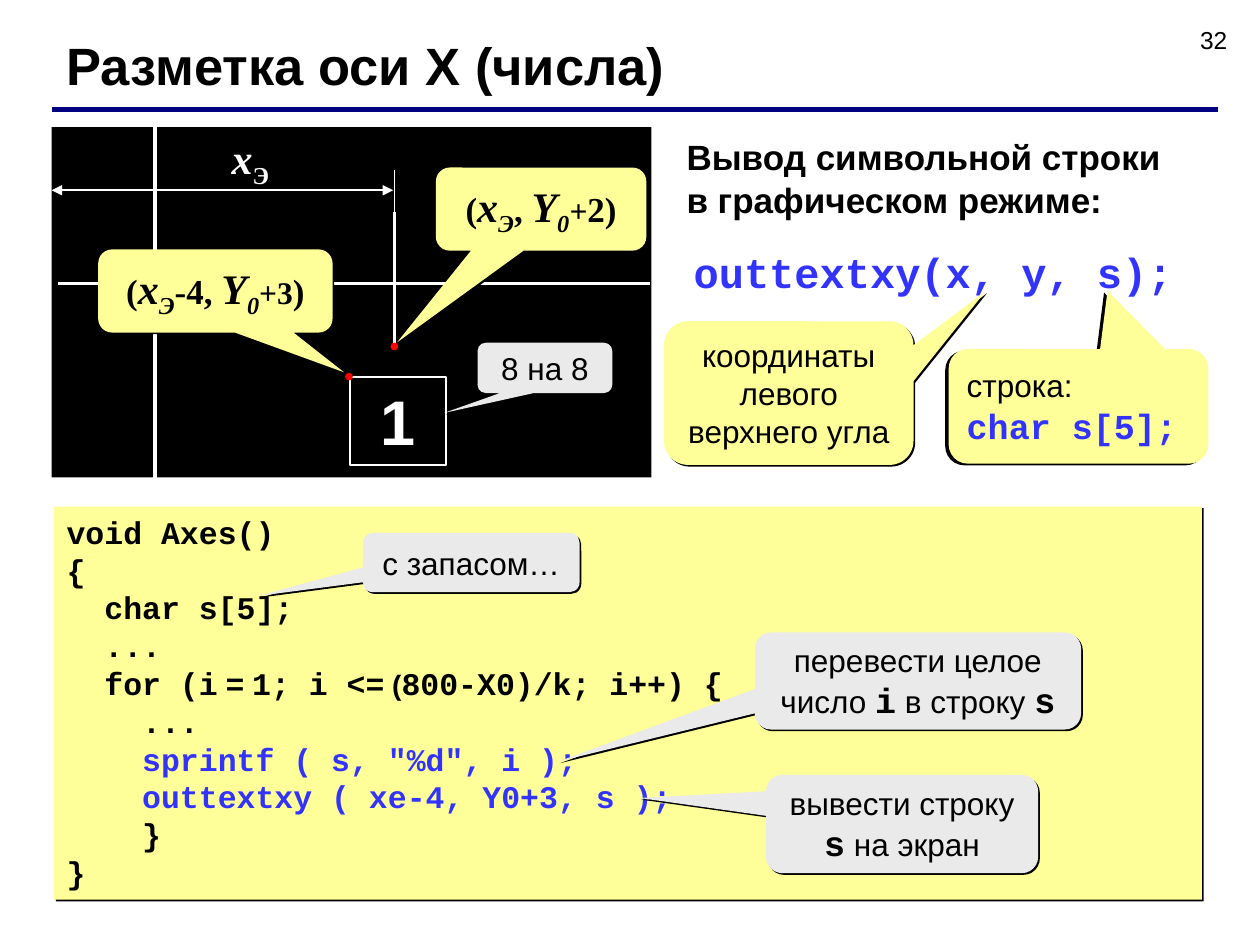
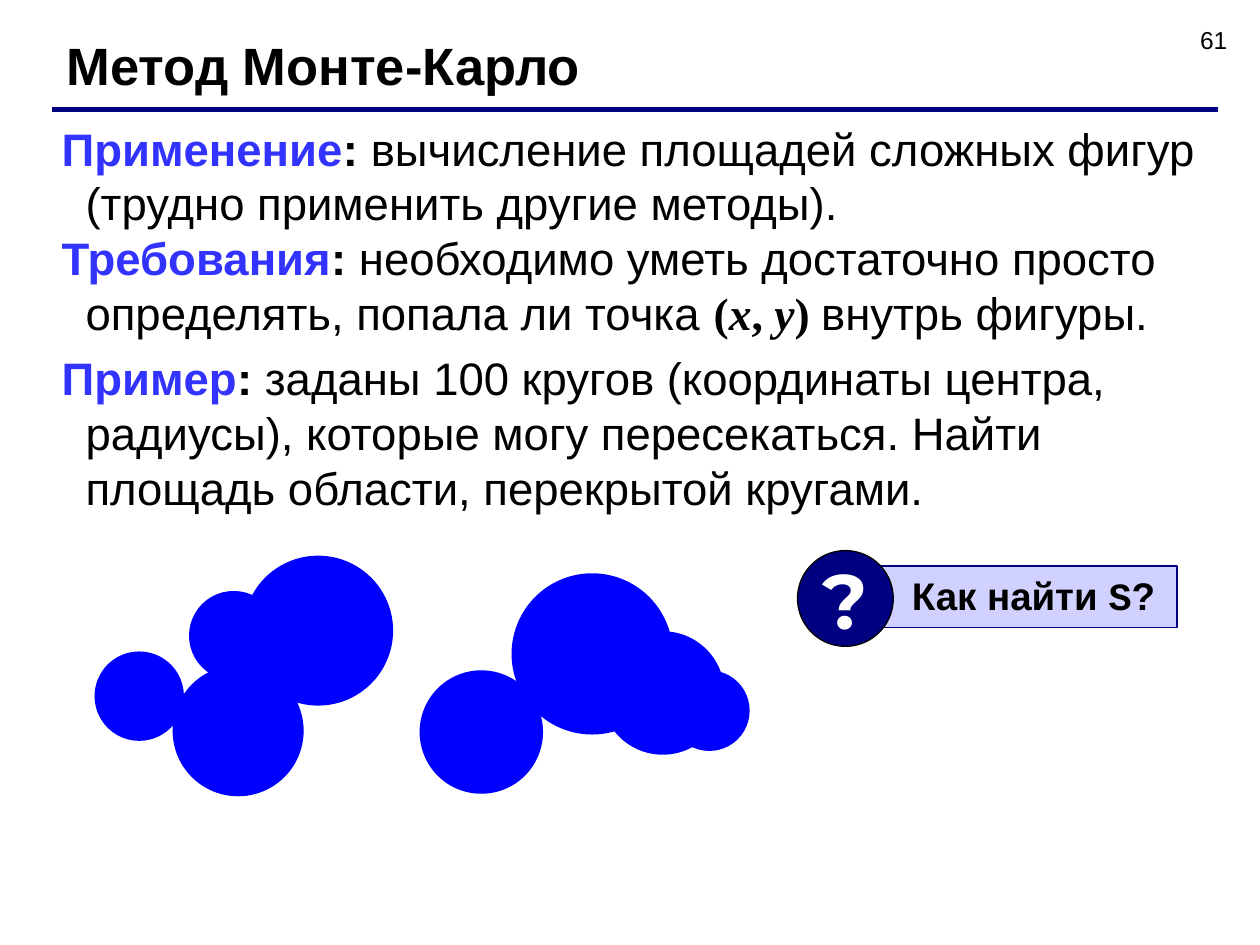
from dataclasses import dataclass
from typing import NamedTuple, Optional

from lxml import etree
from pptx import Presentation
from pptx import util as u
from pptx.dml.color import RGBColor
from pptx.enum import shapes, text
from pptx.oxml import ns

COLORS = {
    "black": "000000", "white": "FFFFFF", "navy": "000080", "code": "3333FF",
    "note": "FFFF99", "hint": "EAEAEA", "point": "FF0000", "disc": "0000FF",
    "question": "D1D1FF",
}
SANS, MONO, SERIF = "Arial", "Courier New", "Times New Roman"
LEFT, CENTER, RIGHT = text.PP_ALIGN.LEFT, text.PP_ALIGN.CENTER, text.PP_ALIGN.RIGHT
TOP, MIDDLE = text.MSO_ANCHOR.TOP, text.MSO_ANCHOR.MIDDLE
RECT, OVAL = shapes.MSO_SHAPE.RECTANGLE, shapes.MSO_SHAPE.OVAL


class Box(NamedTuple):
    left: float
    top: float
    width: float
    height: float


class Line(NamedTuple):
    x1: float
    y1: float
    x2: float
    y2: float
    color: str = "white"
    width: float = 1
    arrows: bool = False


@dataclass(frozen=True)
class Run:
    text: str
    size: float = 18
    font: str = SANS
    color: str = "black"
    bold: bool = False
    italic: bool = False
    subscript: bool = False


@dataclass(frozen=True)
class Para:
    runs: list[Run]
    align: text.PP_ALIGN = LEFT
    before: float = 0
    margin: float = 0
    indent: float = 0


class Shadow(NamedTuple):
    distance: float = 1.4
    angle: int = 45


@dataclass(frozen=True)
class Callout:
    box: Box
    tip: tuple[float, float]
    paras: list[Para]
    fill: str = "hint"
    shadow: Shadow = Shadow()


def rgb(name: str) -> RGBColor:
    return RGBColor.from_string(COLORS[name])


def code(words: str, size: float = 18, color: str = "black") -> Run:
    return Run(words, size, MONO, color, bold=True)


def math(words: str, size: float = 20, **style) -> Run:
    return Run(words, size, SERIF, bold=True, **style)


def centered(*runs: Run) -> list[Para]:
    return [Para(list(runs), CENTER)]


def write(shape, paras: list[Para], anchor=TOP, wrap: bool = True) -> None:
    frame = shape.text_frame
    frame.word_wrap, frame.vertical_anchor = wrap, anchor
    for index, para in enumerate(paras):
        target = frame.add_paragraph() if index else frame.paragraphs[0]
        target.alignment = para.align
        if para.before:
            target.space_before = u.Pt(para.before)
        if para.margin:
            properties = target._p.get_or_add_pPr()
            properties.set("marL", str(u.Inches(para.margin)))
            properties.set("indent", str(u.Inches(para.indent)))
        for part in para.runs:
            run = target.add_run()
            run.text = part.text
            font = run.font
            font.size, font.name = u.Pt(part.size), part.font
            font.bold, font.italic = part.bold, part.italic
            font.color.rgb = rgb(part.color)
            if part.subscript:
                run._r.get_or_add_rPr().set("baseline", "-25000")


def add_text(slide, box: Box, paras: list[Para]) -> None:
    write(slide.shapes.add_textbox(*map(u.Inches, box)), paras)


def add_label(slide, box: Box, words: str, align=LEFT, **style) -> None:
    add_text(slide, box, [Para([Run(words, **style)], align)])


def cast_shadow(shape, shadow: Shadow) -> None:
    effects = shape._element.spPr.find(ns.qn("a:effectLst"))
    outer = etree.SubElement(effects, ns.qn("a:outerShdw"), blurRad="0",
                             dist=str(u.Pt(shadow.distance)),
                             dir=str(shadow.angle * 60000),
                             algn="ctr", rotWithShape="0")
    etree.SubElement(outer, ns.qn("a:srgbClr"), val=COLORS["black"])


def add_figure(canvas, kind, box: Box, fill: str, line: Optional[str] = None,
               width: float = 1, shadow: Optional[Shadow] = None):
    shape = canvas.add_shape(kind, *map(u.Inches, box))
    shape.shadow.inherit = False
    shape.fill.solid()
    shape.fill.fore_color.rgb = rgb(fill)
    if line:
        shape.line.color.rgb = rgb(line)
        shape.line.width = u.Pt(width)
    else:
        shape.line.fill.background()
    if shadow:
        cast_shadow(shape, shadow)
    return shape


def add_line(slide, line: Line) -> None:
    connector = slide.shapes.add_connector(
        shapes.MSO_CONNECTOR.STRAIGHT, *map(u.Inches, line[:4]))
    connector.line.color.rgb = rgb(line.color)
    connector.line.width = u.Pt(line.width)
    if line.arrows:
        stroke = connector.line._get_or_add_ln()
        for end in ("a:headEnd", "a:tailEnd"):
            etree.SubElement(stroke, ns.qn(end), type="triangle")
    etree.SubElement(connector._element.spPr, ns.qn("a:effectLst"))


def add_callout(slide, callout: Callout) -> None:
    bubble = add_figure(slide.shapes, shapes.MSO_SHAPE.ROUNDED_RECTANGULAR_CALLOUT,
                        callout.box, callout.fill, shadow=callout.shadow)
    for index, value in enumerate((*callout.tip, 0.167)):
        bubble.adjustments[index] = value
    write(bubble, callout.paras, MIDDLE)


def add_page(deck, title: str, number: int):
    slide = deck.slides.add_slide(deck.slide_layouts[6])
    add_label(slide, Box(7.51, 0.15, 2.33, 0.52), str(number), RIGHT, size=14)
    add_line(slide, Line(0.41, 0.87, 9.67, 0.87, "navy", 3))
    add_label(slide, Box(0.43, 0.21, 8.9, 0.6), title, size=30, bold=True)
    return slide


def screen_point(shift: str, offset: list[Run]) -> list[Para]:
    return centered(
        math("("), math("x", 24, italic=True),
        math("Э", 24, italic=True, subscript=True), math(shift),
        math("Y", 24, italic=True),
        math("0", 24, italic=True, subscript=True), *offset)


def add_axis_drawing(slide) -> None:
    add_figure(slide.shapes, RECT, Box(0.41, 1.01, 4.76, 2.78), "black")
    for axis in (Line(1.23, 3.79, 1.23, 1.01, width=2),
                 Line(0.46, 2.25, 5.16, 2.25, width=2),
                 Line(3.13, 2.75, 3.13, 1.68, width=2)):
        add_line(slide, axis)
    digit = add_figure(slide.shapes, RECT, Box(2.78, 2.99, 0.76, 0.7), "black", "white")
    write(digit, centered(Run("1", 36, color="white", bold=True)))
    add_text(slide, Box(1.74, 1, 0.57, 0.56), [Para([
        math("x", 24, italic=True, color="white"),
        math("Э", 24, subscript=True, color="white")])])
    add_line(slide, Line(3.12, 1.51, 0.41, 1.51, arrows=True))
    add_line(slide, Line(3.13, 1.35, 3.13, 2.2))
    for left, top in ((3.1, 2.72), (2.74, 2.96)):
        add_figure(slide.shapes, OVAL, Box(left, top, 0.06, 0.06), "point")


def add_axes_code(slide) -> None:
    loop = [code("  for (i"), Run(" ", 16, bold=True), code("="),
            Run(" ", 16, bold=True), code("1; i <="),
            Run(" (", 16, bold=True), code("800-X0)/k; i++) {")]
    listing = [
        [code("void Axes()")], [code("{")], [code("  char s[5];")], [code("  ...")],
        loop, [code("    ...")],
        [code('    sprintf ( s, "%d", i );', color="code")],
        [code("    outtextxy ( xe-4, Y0+3, s );", color="code")],
        [code("    }")], [code("}")],
    ]
    panel = add_figure(slide.shapes, RECT, Box(0.43, 4.02, 9.11, 3.12), "note",
                       shadow=Shadow())
    write(panel, [Para(runs) for runs in listing])


def build_axis_slide(deck) -> None:
    slide = add_page(deck, "Разметка оси X (числа)", 32)
    add_axis_drawing(slide)
    add_text(slide, Box(5.35, 1.03, 4.11, 1.38), [
        Para([Run("Вывод символьной строки в графическом режиме:", 20, bold=True)]),
        Para([code("outtextxy(x, y, s);", 24, "code")], CENTER, before=15)])
    add_axes_code(slide)
    callouts = [
        Callout(Box(3.46, 1.33, 1.67, 0.66), (-0.685, 1.604),
                screen_point(", ", [math("+", 18, italic=True), math("2)")]), "note"),
        Callout(Box(5.27, 2.55, 1.98, 1.14), (0.788, -0.707),
                centered(Run("координаты левого верхнего угла")), "note"),
        Callout(Box(0.78, 1.98, 1.86, 0.66), (0.549, 0.978),
                screen_point("-4, ", [math("+3", 18), math(")")]), "note"),
        Callout(Box(3.79, 2.72, 1.07, 0.4), (-0.748, 0.894), centered(Run("8 на 8"))),
        Callout(Box(5.99, 5.02, 2.59, 0.77), (-1.101, 0.829),
                centered(Run("перевести целое число "), code("i", 20),
                         Run(" в строку "), code("s", 20))),
        Callout(Box(7.53, 2.77, 2.06, 0.91), (0.112, -1.008),
                [Para([Run("строка:")]), Para([code("char s[5];", 20, "code")])],
                "note", Shadow(2.2, 154)),
        Callout(Box(6.08, 6.15, 2.16, 0.78), (-0.965, -0.265),
                centered(Run("вывести строку "), code("s", 20), Run(" на экран"))),
        Callout(Box(2.88, 4.23, 1.72, 0.47), (-0.982, 0.563),
                centered(Run("с запасом…"))),
    ]
    for callout in callouts:
        add_callout(slide, callout)


def topic(term: str, *rest: Run, before: float = 0) -> Para:
    return Para([Run(term, 26, color="code", bold=True), Run(": ", 26, bold=True), *rest],
                before=before, margin=0.19, indent=-0.19)


def build_monte_carlo_slide(deck) -> None:
    slide = add_page(deck, "Метод Монте-Карло", 61)
    add_text(slide, Box(0.39, 0.91, 9.49, 3.22), [
        topic("Применение", Run("вычисление площадей сложных фигур "
                                "(трудно применить другие методы).", 26)),
        topic("Требования",
              Run("необходимо уметь достаточно просто определять, попала ли точка ", 26),
              math("(", 26), math("x", 26, italic=True), math(", ", 26),
              math("y", 26, italic=True), math(") ", 26), Run("внутрь фигуры.", 26)),
        topic("Пример", Run("заданы 100 кругов (координаты центра, радиусы), которые могу "
                            "пересекаться. Найти площадь области, перекрытой кругами.", 26),
              before=6.5)])
    discs = slide.shapes.add_group_shape().shapes
    for left, top, diameter in (
            (0.75, 5.17, 0.71), (1.93, 4.41, 1.19), (4.06, 4.55, 1.28),
            (3.33, 5.32, 0.98), (4.77, 5.01, 0.98), (5.31, 5.32, 0.64),
            (1.37, 5.28, 1.04), (1.5, 4.69, 0.71)):
        add_figure(discs, OVAL, Box(left, top, diameter, diameter), "disc")
    question = slide.shapes.add_group_shape().shapes
    plate = add_figure(question, RECT, Box(6.88, 4.49, 2.46, 0.49), "question", "navy")
    write(plate, [Para([Run("Как найти ", 22, bold=True), code("S", 22),
                        Run("?", 22, bold=True)], margin=0.26)])
    badge = add_figure(question, OVAL, Box(6.33, 4.37, 0.76, 0.76), "navy", "black", 0.75)
    write(badge, centered(Run("?", 44, "Montserrat", "white", bold=True)), MIDDLE, wrap=False)


def main() -> None:
    deck = Presentation()
    deck.slide_width, deck.slide_height = u.Inches(10), u.Inches(7.5)
    build_axis_slide(deck)
    build_monte_carlo_slide(deck)
    deck.save("out.pptx")


if __name__ == "__main__":
    main()
